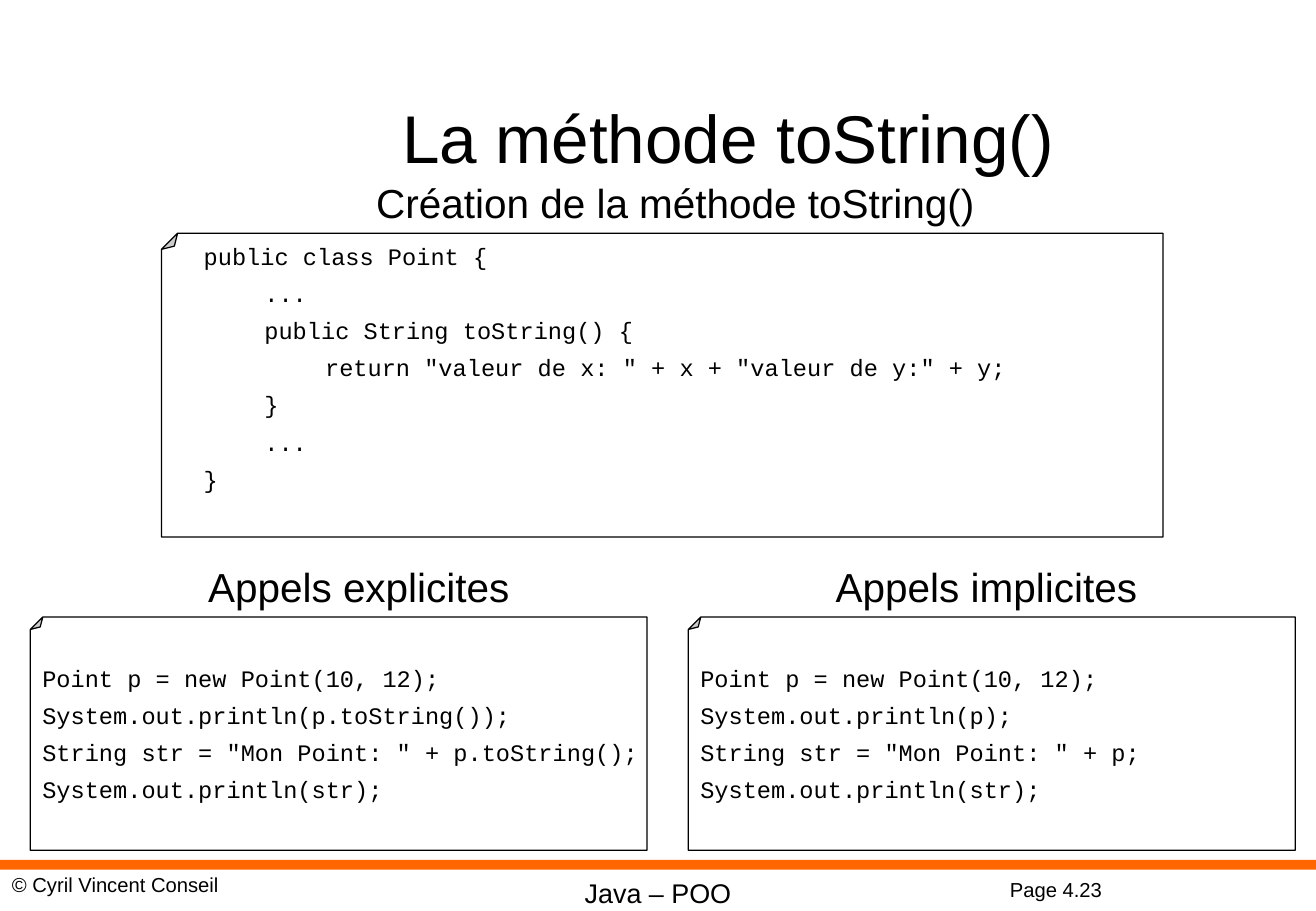
"""Build the slide about the toString() method."""
from dataclasses import dataclass

from lxml.etree import SubElement
from pptx import Presentation
from pptx.dml.color import RGBColor
from pptx.enum.shapes import MSO_SHAPE as SHAPE
from pptx.enum.text import MSO_ANCHOR as ANCHOR, PP_ALIGN as ALIGN
from pptx.oxml.ns import qn
from pptx.slide import Slide
from pptx.util import Inches, Pt

COLORS = {"text": "000000", "paper": "FFFFFF", "bar": "FF6600"}
Box = tuple[float, float, float, float]


@dataclass(frozen=True)
class Label:
    text: str
    box: Box
    size: int
    align: ALIGN = ALIGN.CENTER
    anchor: ANCHOR = ANCHOR.TOP


@dataclass(frozen=True)
class CodeNote:
    code: str
    box: Box
    indent: float = 0
    bottom: float = 0.05


LABELS = [
    Label("Page 4.23", (8.22, 7.17, 1.44, 0.3), 12, ALIGN.LEFT),
    Label("Java – POO", (2.62, 7.17, 5.6, 0.37), 16),
    Label("© Cyril Vincent Conseil", (0, 7.13, 4.06, 0.3), 12, ALIGN.LEFT),
    Label("La méthode toString()", (1.39, 0.5, 9.21, 1.25), 40, anchor=ANCHOR.MIDDLE),
    Label("Création de la méthode toString()", (3, 1.42, 5.25, 0.5), 24, ALIGN.LEFT),
    Label("Appels explicites", (0.33, 4.58, 5.25, 0.5), 24),
    Label("Appels implicites", (5.5, 4.58, 5.25, 0.5), 24),
]

CLASS_CODE = """public class Point {
\t...
\tpublic String toString() {
\t\treturn "valeur de x: " + x + "valeur de y:" + y;
\t}
\t...
}"""
EXPLICIT_CODE = """Point p = new Point(10, 12);
System.out.println(p.toString());
String str = "Mon Point: " + p.toString();
System.out.println(str);"""
IMPLICIT_CODE = """Point p = new Point(10, 12);
System.out.println(p);
String str = "Mon Point: " + p;
System.out.println(str);"""

NOTES = [
    CodeNote(CLASS_CODE, (1.33, 1.92, 8.25, 2.5), indent=0.25, bottom=0.34),
    CodeNote(EXPLICIT_CODE, (0.25, 5.08, 5.08, 1.92)),
    CodeNote(IMPLICIT_CODE, (5.67, 5.08, 5, 1.92)),
]


def rgb(name: str) -> RGBColor:
    return RGBColor.from_string(COLORS[name])


def add_text(s: Slide, text: str, box: Box, font: dict, align: ALIGN,
             frame: dict, gap: float = 0) -> None:
    tf = s.shapes.add_textbox(*map(Inches, box)).text_frame
    for name, value in {"word_wrap": True, **frame}.items():
        setattr(tf, name, value)
    for i, line in enumerate(text.split("\n")):
        p = tf.add_paragraph() if i else tf.paragraphs[0]
        p.alignment = align
        p.space_before = Pt(gap if i else 0)
        r = p.add_run()
        r.text = line
        for name, value in font.items():
            setattr(r.font, name, value)
        r.font.color.rgb = rgb("text")


def add_label(s: Slide, label: Label) -> None:
    font = {"name": "Arial", "size": Pt(label.size)}
    add_text(s, label.text, label.box, font, label.align,
             {"vertical_anchor": label.anchor})


def add_note(s: Slide, note: CodeNote) -> None:
    sp = s.shapes.add_shape(SHAPE.FOLDED_CORNER, *map(Inches, note.box))
    sp.rotation = 180
    fold = next(sp.element.iter(qn("a:avLst")))
    for gd in list(fold):
        fold.remove(gd)
    SubElement(fold, qn("a:gd"), name="adj", fmla="val 5300")
    sp.shadow.inherit = False
    sp.fill.solid()
    sp.fill.fore_color.rgb = rgb("paper")
    sp.line.color.rgb = rgb("text")
    sp.line.width = Pt(0.75)
    left, top, width, height = note.box
    box = (left + note.indent, top, width - note.indent, height)
    frame = {"vertical_anchor": ANCHOR.MIDDLE, "margin_right": 0,
             "margin_bottom": Inches(note.bottom)}
    font = {"name": "Courier New", "size": Pt(14)}
    add_text(s, note.code, box, font, ALIGN.LEFT, frame, gap=5.2)


def add_bar(s: Slide) -> None:
    sp = s.shapes.add_shape(SHAPE.RECTANGLE, *map(Inches, (0, 7.08, 10.84, 0.08)))
    sp.shadow.inherit = False
    sp.fill.solid()
    sp.fill.fore_color.rgb = rgb("bar")
    sp.line.fill.background()


def main() -> None:
    prs = Presentation()
    prs.slide_width, prs.slide_height = Inches(10.84), Inches(7.5)
    s = prs.slides.add_slide(prs.slide_layouts[6])
    add_bar(s)
    for note in NOTES:
        add_note(s, note)
    for label in LABELS:
        add_label(s, label)
    prs.save("out.pptx")


if __name__ == "__main__":
    main()
